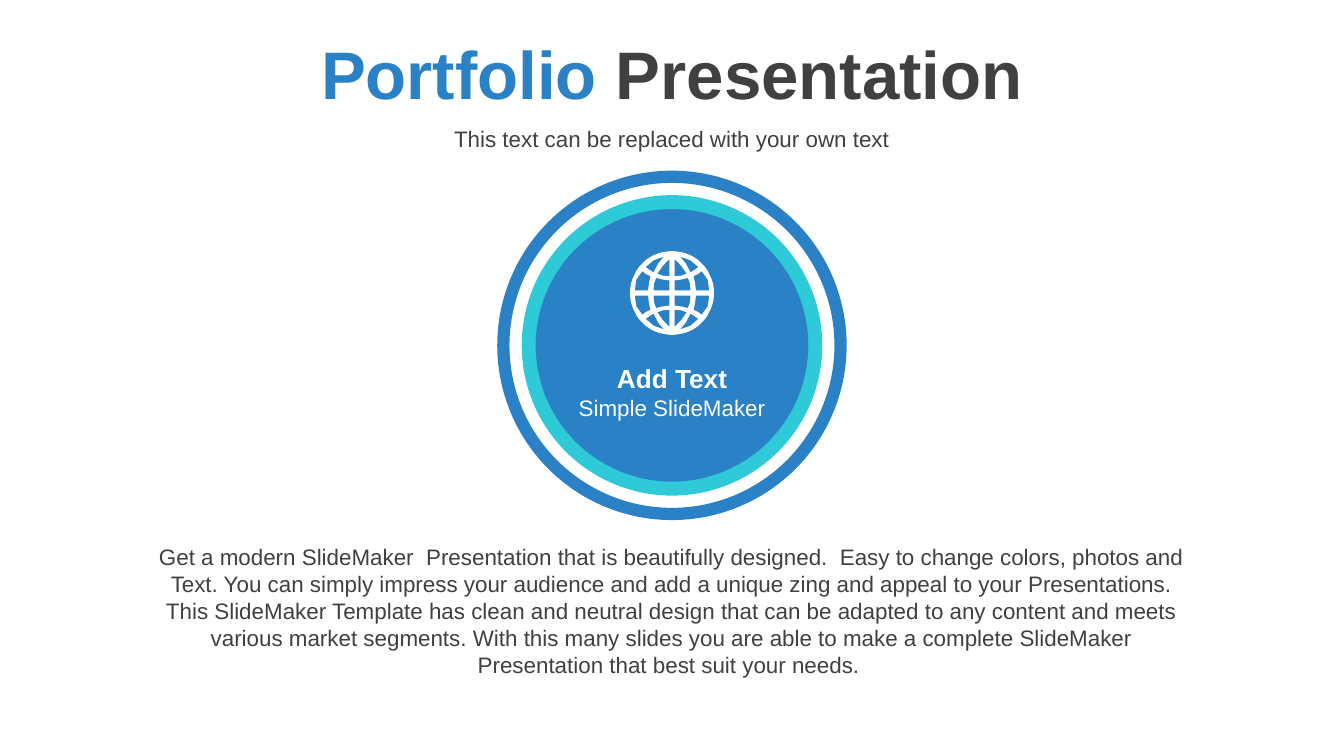
from math import cos, pi, sin

from pptx import Presentation
from pptx.dml.color import RGBColor
from pptx.enum.shapes import MSO_SHAPE
from pptx.enum.text import MSO_ANCHOR, PP_ALIGN
from pptx.util import Inches, Pt

OVAL, DONUT = MSO_SHAPE.OVAL, MSO_SHAPE.DONUT
TOP, MIDDLE = MSO_ANCHOR.TOP, MSO_ANCHOR.MIDDLE
CENTER = PP_ALIGN.CENTER
TITLE_ONLY = 5

WIDTH = 10
HEIGHT = WIDTH * 9 / 16
FONT = "Arial"
COLORS = {"blue": "2A81C6", "cyan": "2ECAD7", "dark": "404040", "white": "FFFFFF"}

# Panes of one quarter of the globe, in hundredths of its radius from the centre
GLOBE_PANES = [
    [(6, 6), (44, 6), (43, 22), (38, 36), (22, 32), (6, 30)],
    [(57, 6), (89, 6), (85, 32), (71, 52), (62, 45), (51, 40), (55, 24)],
    [(6, 40), (21, 41), (35, 46), (22, 65), (6, 81)],
    [(44, 49), (55, 56), (63, 62), (44, 78), (19, 87), (33, 70)],
]
BODY = (
    "Get a modern SlideMaker  Presentation that is beautifully designed.  "
    "Easy to change colors, photos and Text. You can simply impress your audience "
    "and add a unique zing and appeal to your Presentations. This SlideMaker Template "
    "has clean and neutral design that can be adapted to any content and meets various "
    "market segments. With this many slides you are able to make a complete SlideMaker "
    "Presentation that best suit your needs. "
)


def color(name):
    return RGBColor.from_string(COLORS[name])


def place(shape, box):
    shape.left, shape.top, shape.width, shape.height = map(Inches, box)


def write(shape, runs, size, bold=False, anchor=TOP):
    """Fill the shape with one centred paragraph of (text, colour) runs."""
    frame = shape.text_frame
    frame.word_wrap = True
    frame.vertical_anchor = anchor
    paragraph = frame.paragraphs[0]
    paragraph.alignment = CENTER
    for text, color_name in runs:
        run = paragraph.add_run()
        run.text = text
        run.font.name, run.font.size, run.font.bold = FONT, Pt(size), bold
        run.font.color.rgb = color(color_name)
    return paragraph


def add_text(shapes, box, text, color_name, size, bold=False, anchor=TOP):
    text_box = shapes.add_textbox(*map(Inches, box))
    return write(text_box, [(text, color_name)], size, bold, anchor)


def paint(shape, color_name):
    shape.shadow.inherit = False
    shape.fill.solid()
    shape.fill.fore_color.rgb = color(color_name)
    shape.line.fill.background()


def add_disc(slide, kind, center, diameter, color_name):
    x, y = center
    disc = slide.shapes.add_shape(
        kind, Inches(x - diameter / 2), Inches(y - diameter / 2),
        Inches(diameter), Inches(diameter))
    paint(disc, color_name)
    return disc


def add_globe(slide, center, radius):
    """Draw a disc whose panes are cut out, mirrored into all four quarters."""
    steps = 90
    rim = [(100 * cos(2 * pi * i / steps), 100 * sin(2 * pi * i / steps))
           for i in range(steps)]
    panes = [[(x * side, y * half) for x, y in pane]
             for side in (-1, 1) for half in (-1, 1) for pane in GLOBE_PANES]
    builder = slide.shapes.build_freeform(*rim[0], scale=Inches(radius) / 100)
    builder.add_line_segments(rim[1:])
    for pane in panes:
        builder.move_to(*pane[0])
        builder.add_line_segments(pane[1:])
    paint(builder.convert_to_shape(*map(Inches, center)), "white")


def add_heading(slide, box):
    left, top, width, height = box
    title = slide.shapes.title
    place(title, (left, top, width, 0.75 * height))
    write(title, [("Portfolio ", "blue"), ("Presentation", "dark")], 36, True, MIDDLE)
    subtitle = add_text(
        slide.shapes, (left, top + 0.76 * height, width, 0.24 * height),
        "This text can be replaced with your own text", "dark", 12, anchor=MIDDLE)
    subtitle.line_spacing = 0.9
    subtitle.space_before = Pt(10)


def add_badge(slide, box):
    left, top, size, _ = box
    x, y = center = left + size / 2, top + size / 2
    add_disc(slide, OVAL, center, 0.86 * size, "cyan")
    add_disc(slide, OVAL, center, 0.78 * size, "blue")
    ring = add_disc(slide, DONUT, center, size, "blue")
    ring.adjustments[0] = 0.035
    add_globe(slide, (x, y - 0.15 * size), 0.12 * size)
    labels = slide.shapes.add_group_shape().shapes
    label_left, label_width = left + 0.17 * size, 0.66 * size
    add_text(labels, (label_left, top + 0.53 * size, label_width, 0.34),
             "Add Text", "white", 14, True)
    add_text(labels, (label_left, top + 0.62 * size, label_width, 0.3),
             "Simple SlideMaker", "white", 12)


def main():
    presentation = Presentation()
    presentation.slide_width, presentation.slide_height = Inches(WIDTH), Inches(HEIGHT)
    slide = presentation.slides.add_slide(presentation.slide_layouts[TITLE_ONLY])
    badge_size = 2.6
    add_heading(slide, (0, 0.165, WIDTH, 1))
    add_badge(slide, ((WIDTH - badge_size) / 2, 1.27, badge_size, badge_size))
    add_text(slide.shapes, (0.1 * WIDTH, 0.71 * HEIGHT, 0.8 * WIDTH, 0.2 * HEIGHT),
             BODY, "dark", 12)
    presentation.save("out.pptx")


if __name__ == "__main__":
    main()
